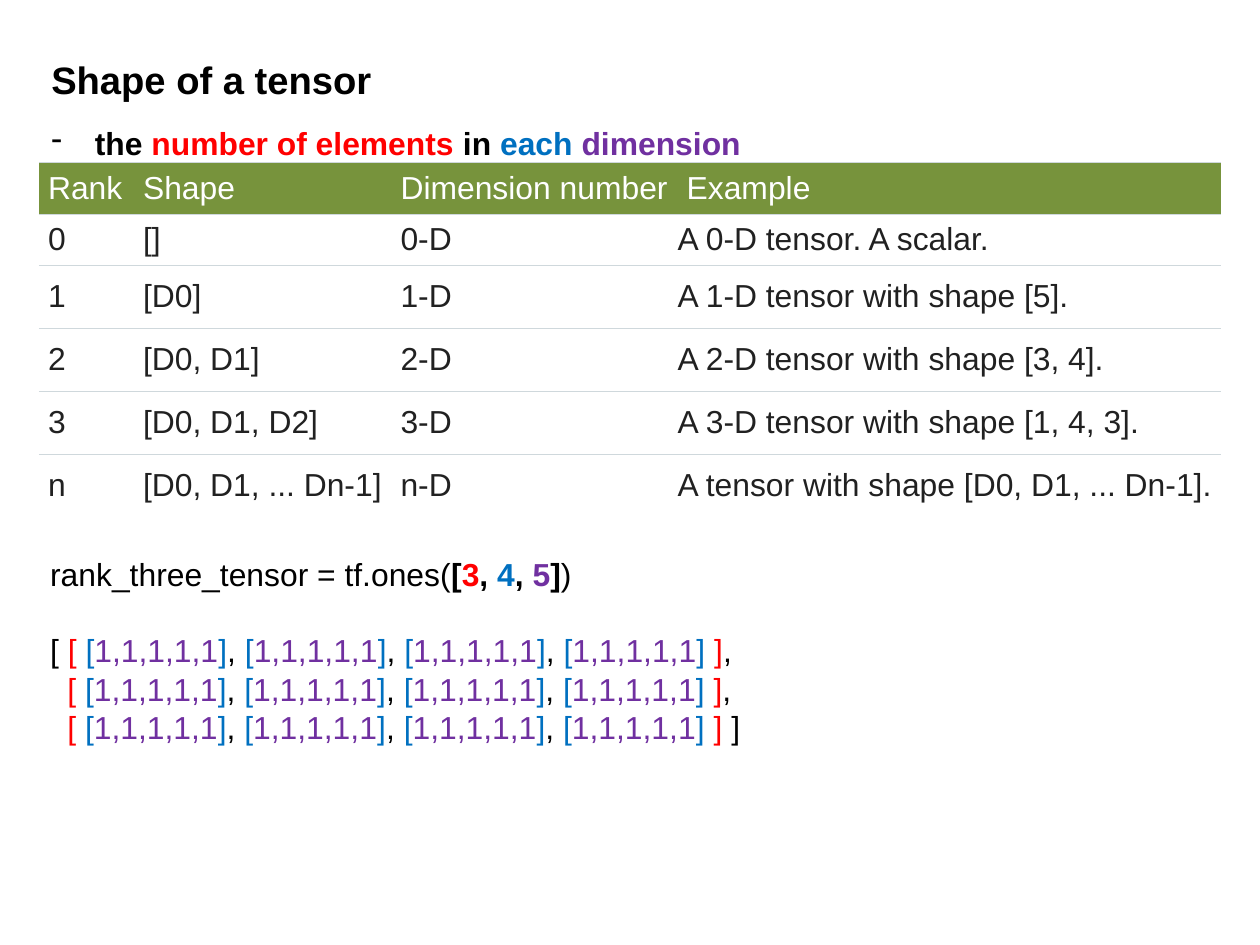
import pptx
import pptx.util
import pptx.dml.color
import pptx.enum.text
import pptx.oxml
import pptx.oxml.ns
from pptx.util import Inches

HUES = {
    "black": "000000", "white": "FFFFFF", "red": "FF0000", "blue": "0070C0",
    "violet": "7030A0", "green": "77933C", "ink": "212121", "rule": "CFD8DC",
}
COLS = [0.83, 2.25, 2.5, 4.75]
ROWS = [0.45, 0.45, 0.55, 0.55, 0.55, 0.55]
CELLS = [
    ["Rank", "Shape", "Dimension number", "Example"],
    ["0", "[]", "0-D", "A 0-D tensor. A scalar."],
    ["1", "[D0]", "1-D", "A 1-D tensor with shape [5]."],
    ["2", "[D0, D1]", "2-D", "A 2-D tensor with shape [3, 4]."],
    ["3", "[D0, D1, D2]", "3-D", "A 3-D tensor with shape [1, 4, 3]."],
    ["n", "[D0, D1, ... Dn-1]", "n-D", "A tensor with shape [D0, D1, ... Dn-1]."],
]
DIMS = (3, 4, 5)


def color(name):
    return pptx.dml.color.RGBColor.from_string(HUES[name])


def add_run(para, text, hue="black", bold=False, size=20):
    run = para.add_run()
    run.text = text
    font = run.font
    font.name = "Arial"
    font.size = pptx.util.Pt(size)
    font.bold = bold
    font.color.rgb = color(hue)


def add_box(slide, left, top, width, height):
    box = slide.shapes.add_textbox(
        Inches(left), Inches(top), Inches(width), Inches(height))
    box.text_frame.word_wrap = True
    return box.text_frame


def set_indent(para, left, first=0):
    props = para._p.get_or_add_pPr()
    props.set("marL", str(Inches(left)))
    props.set("indent", str(Inches(first)))
    return props


def add_head(slide, left, top, width, height):
    frame = add_box(slide, left, top, width, height)
    title, point = frame.paragraphs[0], frame.add_paragraph()
    for para in (title, point):
        para.alignment = pptx.enum.text.PP_ALIGN.JUSTIFY
        para.line_spacing = 1.58
    set_indent(title, 0.01)
    add_run(title, "Shape of a tensor", bold=True, size=24)
    mark = pptx.oxml.parse_xml(
        f'<a:buChar {pptx.oxml.ns.nsdecls("a")} char="-"/>')
    set_indent(point, 0.39, -0.38).append(mark)
    for text, hue in (("the ", "black"), ("number of elements ", "red"),
                      ("in ", "black"), ("each ", "blue"),
                      ("dimension", "violet")):
        add_run(point, text, hue, bold=True)


def set_edge(cell, side, shown):
    fill = (f'<a:solidFill><a:srgbClr val="{HUES["rule"]}"/></a:solidFill>'
            if shown else "<a:noFill/>")
    width = pptx.util.Pt(0.6)
    return pptx.oxml.parse_xml(
        f'<a:ln{side} {pptx.oxml.ns.nsdecls("a")} w="{width}">{fill}</a:ln{side}>')


def fill_cell(cell, text, row, col):
    head, last = row == 0, row == len(ROWS) - 1
    pad = 0.08 if head or col < len(COLS) - 1 else 0
    cell.margin_left = Inches(pad)
    cell.margin_right = cell.margin_top = cell.margin_bottom = 0
    cell.vertical_anchor = pptx.enum.text.MSO_ANCHOR.MIDDLE
    if head:
        cell.fill.solid()
        cell.fill.fore_color.rgb = color("green")
    else:
        cell.fill.background()
    add_run(cell.text_frame.paragraphs[0], text, "white" if head else "ink")
    props = cell._tc.get_or_add_tcPr()
    edges = {"L": False, "R": False, "T": True, "B": not last}
    for spot, (side, shown) in enumerate(edges.items()):
        props.insert(spot, set_edge(cell, side, shown))


def add_ranks(slide, left, top, width, height):
    """Add the table of rank, shape, dimension number and example."""
    table = slide.shapes.add_table(
        len(ROWS), len(COLS), Inches(left), Inches(top),
        Inches(width), Inches(height)).table
    table.first_row = table.horz_banding = False
    for col, size in zip(table.columns, COLS):
        col.width = Inches(size)
    for row, size in zip(table.rows, ROWS):
        row.height = Inches(size)
    for row, texts in enumerate(CELLS):
        for col, text in enumerate(texts):
            fill_cell(table.cell(row, col), text, row, col)


def add_plane(para, first, last):
    """Write one nested row of ones, with its outer brackets."""
    if first:
        add_run(para, "[ ")
    else:
        set_indent(para, 0.15)
    add_run(para, "[ ", "red")
    for item in range(DIMS[1]):
        if item:
            add_run(para, ", ")
        add_run(para, "[", "blue")
        add_run(para, ",".join("1" * DIMS[2]), "violet")
        add_run(para, "]", "blue")
    add_run(para, " ]", "red")
    add_run(para, " ]" if last else ",")


def add_code(slide, left, top, width, height):
    frame = add_box(slide, left, top, width, height)
    call = frame.paragraphs[0]
    call.space_after = pptx.util.Pt(24)
    add_run(call, "rank_three_tensor = tf.ones(")
    add_run(call, "[", bold=True)
    for spot, (size, hue) in enumerate(zip(DIMS, ("red", "blue", "violet"))):
        if spot:
            add_run(call, ", ", bold=True)
        add_run(call, str(size), hue, bold=True)
    add_run(call, "]", bold=True)
    add_run(call, ")")
    for row in range(DIMS[0]):
        add_plane(frame.add_paragraph(), row == 0, row == DIMS[0] - 1)
    for para in frame.paragraphs:
        para.line_spacing = pptx.util.Pt(24)


def main():
    deck = pptx.Presentation()
    deck.slide_width, deck.slide_height = Inches(11.01), Inches(8.26)
    slide = deck.slides.add_slide(deck.slide_layouts[6])
    left, width = 0.34, sum(COLS)
    add_head(slide, left, 0.21, width, 1.21)
    add_ranks(slide, left, 1.42, width, sum(ROWS))
    add_code(slide, left, 4.8, width, 1.78)
    deck.save("out.pptx")


if __name__ == "__main__":
    main()
